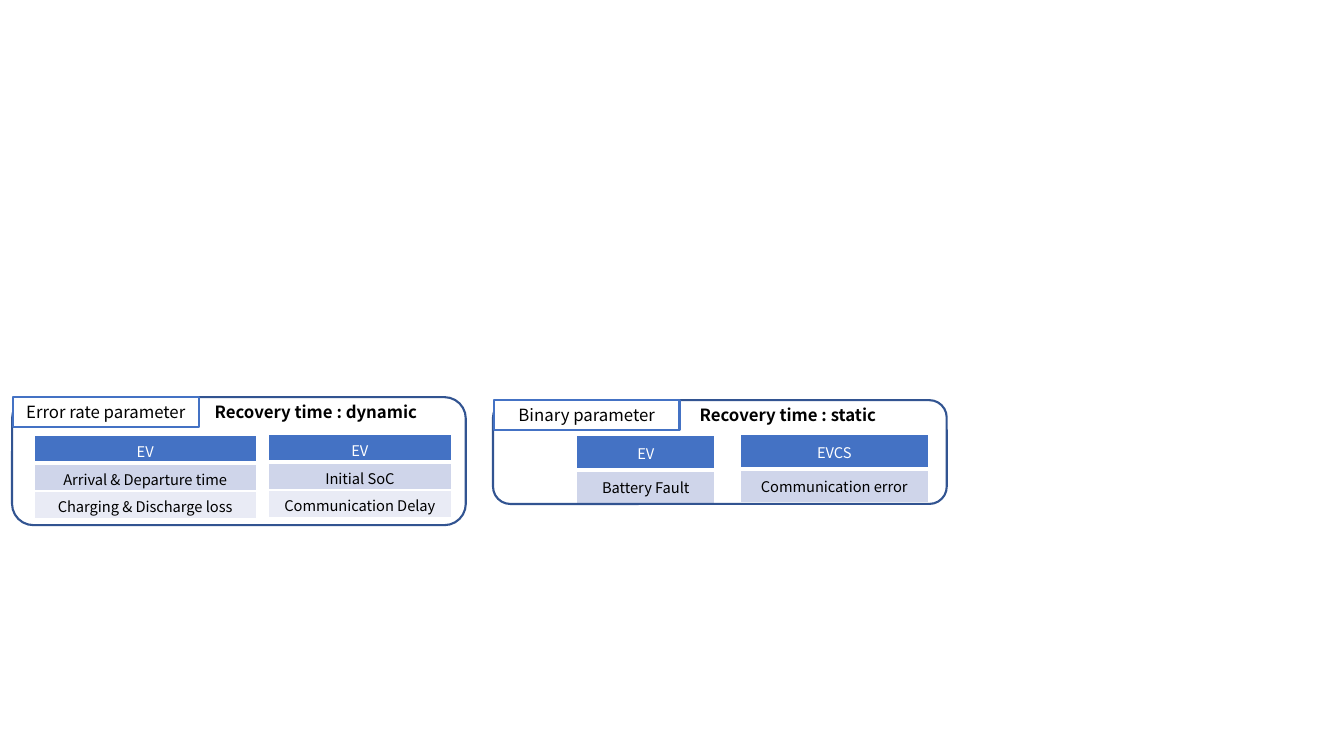
from lxml.etree import SubElement
from pptx import Presentation
from pptx.dml.color import RGBColor
from pptx.enum.shapes import MSO_SHAPE as Shape
from pptx.enum.text import MSO_ANCHOR as Anchor, MSO_AUTO_SIZE as AutoSize, PP_ALIGN as Align
from pptx.oxml.ns import qn
from pptx.util import Inches, Pt

FONT = "Noto Sans CJK KR"
BLUE, NAVY, WHITE, BLACK = "4472C4", "325491", "FFFFFF", "000000"
ROW_FILLS = [BLUE, "CFD5EA", "E9EBF5"]
PANEL_WIDTH, LABEL_WIDTH, LABEL_HEIGHT = 4.5, 1.84, 0.3


def color(value):
    """Turn a hex string into a colour."""
    return RGBColor.from_string(value)


def write(frame, text, size, ink=BLACK, bold=False, align=Align.CENTER):
    """Write one formatted run in the first paragraph of a text frame."""
    paragraph = frame.paragraphs[0]
    paragraph.alignment = align
    run = paragraph.add_run()
    run.text = text
    run.font.name, run.font.size, run.font.bold = FONT, Pt(size), bold
    run.font.color.rgb = color(ink)


def add_outline(group, kind, box, line, fill=None):
    """Add an outlined shape to a group."""
    outline = group.shapes.add_shape(kind, *map(Inches, box))
    outline.shadow.inherit = False
    outline.line.color.rgb = color(line)
    outline.line.width = Pt(1.5)
    if fill:
        outline.fill.solid()
        outline.fill.fore_color.rgb = color(fill)
    else:
        outline.fill.background()
    return outline


def add_borders(cell, bottom):
    """Give a cell white borders, with its own bottom width."""
    properties = cell._tc.get_or_add_tcPr()
    widths = {"a:lnL": 1, "a:lnR": 1, "a:lnT": 1, "a:lnB": bottom}
    for position, (side, width) in enumerate(widths.items()):
        border = SubElement(properties, qn(side), w=str(Pt(width)))
        SubElement(SubElement(border, qn("a:solidFill")), qn("a:srgbClr"), val=WHITE)
        properties.insert(position, border)


def add_parameters(slide, box, entries, padding):
    """Add a one-column table whose first entry is its header."""
    table = slide.shapes.add_table(len(entries), 1, *map(Inches, box)).table
    for index, entry in enumerate(entries):
        cell = table.cell(index, 0)
        cell.margin_top = cell.margin_bottom = Inches(padding)
        cell.vertical_anchor = Anchor.MIDDLE
        cell.fill.solid()
        cell.fill.fore_color.rgb = color(ROW_FILLS[index])
        write(cell.text_frame, entry, 10.5, BLACK if index else WHITE)
        add_borders(cell, 1 if index else 3)


def add_panel(slide, box, label, recovery, recovery_offset):
    """Add a rounded panel with a corner label and a recovery heading."""
    left, top, width, height = box
    panel = slide.shapes.add_group_shape()
    add_outline(panel, Shape.ROUNDED_RECTANGLE, box, NAVY)
    tag = add_outline(panel, Shape.RECTANGLE, (left + 0.01, top, LABEL_WIDTH, LABEL_HEIGHT), BLUE, WHITE)
    heading_box = (left + recovery_offset, top, 2.38, LABEL_HEIGHT)
    heading = slide.shapes.add_textbox(*map(Inches, heading_box))
    for part in (tag, heading):
        part.text_frame.word_wrap = True
        part.text_frame.auto_size = AutoSize.SHAPE_TO_FIT_TEXT
    write(tag.text_frame, label, 12)
    write(heading.text_frame, recovery, 12, bold=True, align=Align.LEFT)


def build_slide(slide):
    """Place the static and dynamic recovery panels with their tables."""
    add_parameters(slide, (5.72, 4.32, 1.37, 0.55), ["EV", "Battery Fault"], 0.065)
    add_parameters(slide, (7.34, 4.31, 1.87, 0.55), ["EVCS", "Communication error"], 0.065)
    add_panel(slide, (4.89, 3.97, PANEL_WIDTH, 1.03), "Binary parameter", "Recovery time : static", 1.95)
    add_parameters(slide, (0.34, 4.32, 2.2, 0.82),
                   ["EV", "Arrival & Departure time", "Charging & Discharge loss"], 0.05)
    add_panel(slide, (0.12, 3.94, PANEL_WIDTH, 1.27), "Error rate parameter", "Recovery time : dynamic", 1.91)
    add_parameters(slide, (2.66, 4.31, 1.82, 0.82), ["EV", "Initial SoC", "Communication Delay"], 0.05)


def main():
    """Build and save the presentation."""
    deck = Presentation()
    deck.slide_width, deck.slide_height = Inches(13.33), Inches(7.5)
    build_slide(deck.slides.add_slide(deck.slide_layouts[6]))
    deck.save("out.pptx")


if __name__ == "__main__":
    main()
